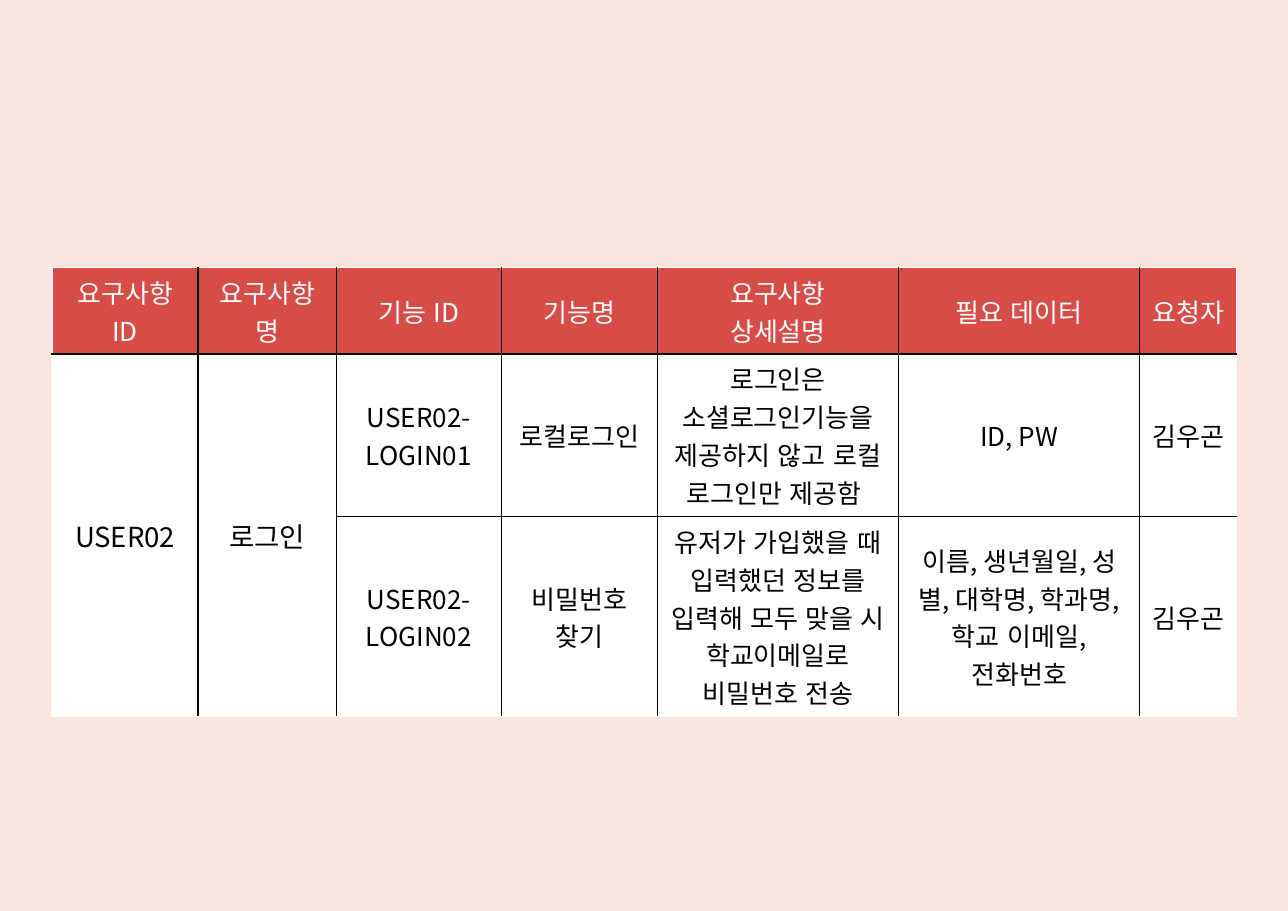
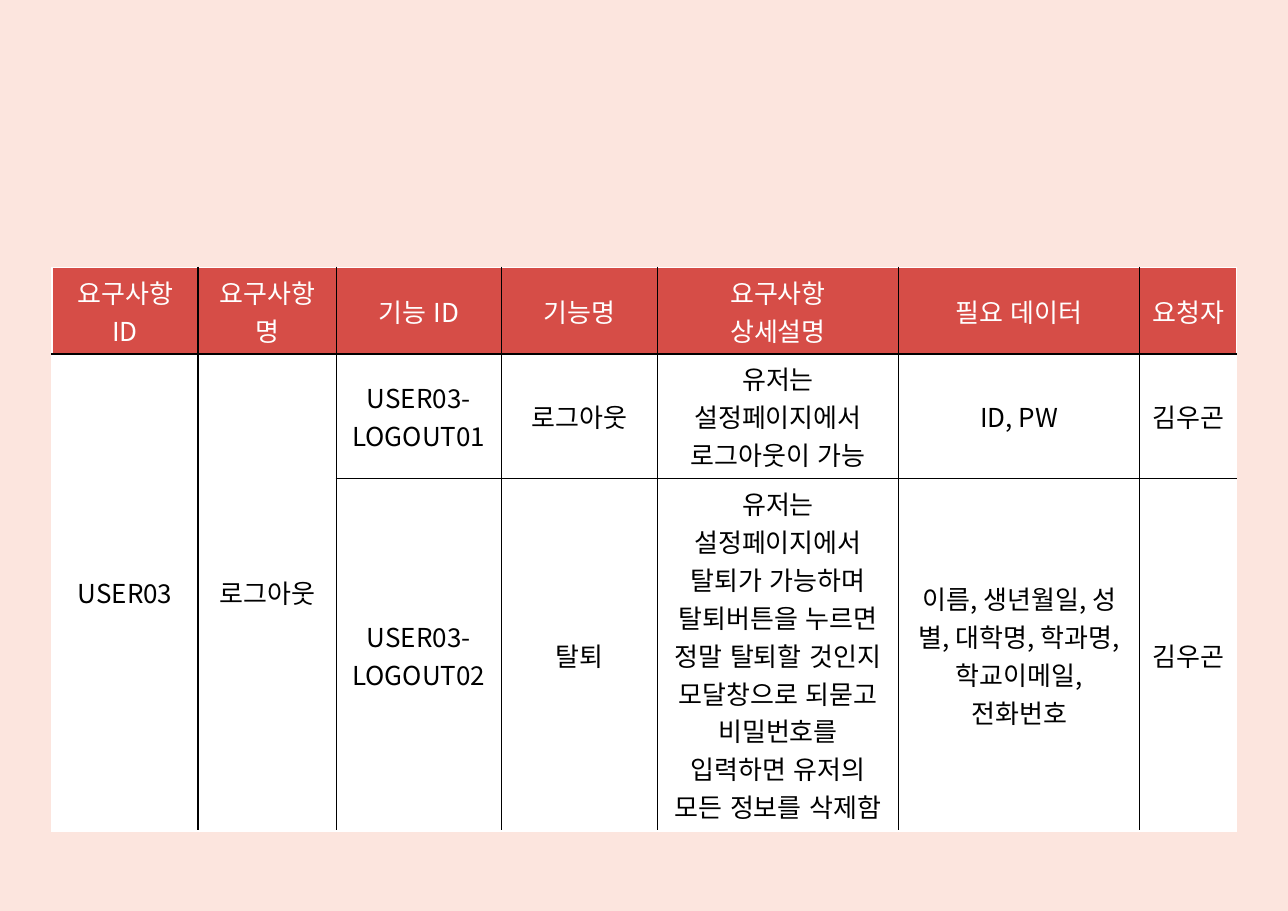
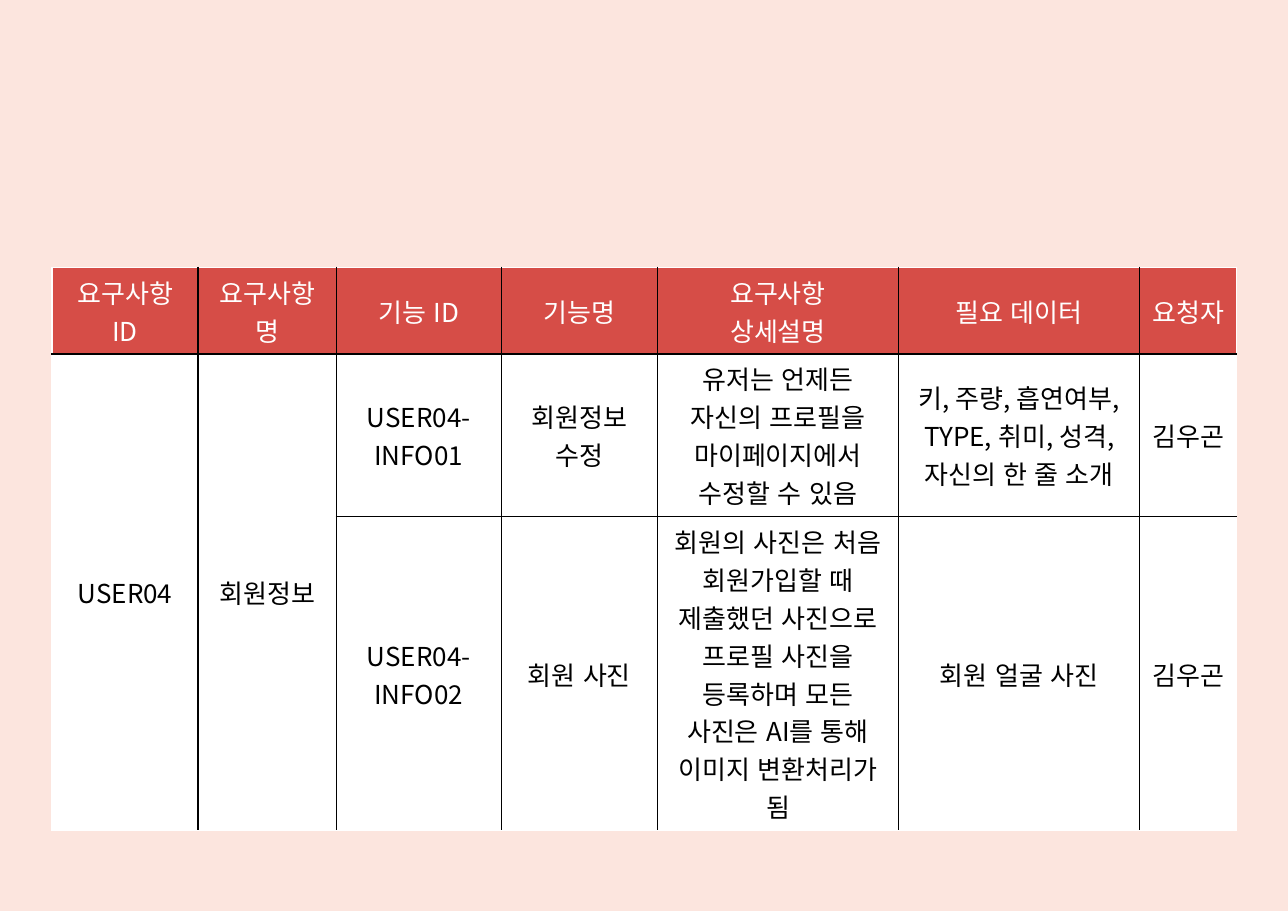
"""Build three requirement tables for login, logout and member information."""
from lxml.etree import SubElement
from pptx import Presentation
from pptx.dml.color import RGBColor
from pptx.enum.lang import MSO_LANGUAGE_ID as LANGUAGE
from pptx.enum.text import MSO_ANCHOR as ANCHOR, PP_ALIGN as ALIGN
from pptx.oxml.ns import qn
from pptx.util import Pt

PX = 914400 // 110
FONT = "Noto Sans CJK KR"
COLORS = {"background": "FCE5DE", "header": "D64D47", "white": "FFFFFF", "black": "000000"}
COLUMN_WIDTHS = [146, 138, 165, 156, 241, 241, 97]
HEADER_HEIGHT = 86
HEADINGS = ["요구사항 ID", "요구사항명", "기능 ID", "기능명", "요구사항\n상세설명", "필요 데이터", "요청자"]
REQUESTER = "김우곤"
REQUIREMENTS = [
    {
        "id": "USER02", "name": "로그인", "id_size": 18, "heights": [162, 200],
        "functions": [
            ["USER02-LOGIN01", "로컬로그인",
             "로그인은 소셜로그인기능을 제공하지 않고 로컬 로그인만 제공함 ", "ID, PW"],
            ["USER02-LOGIN02", "비밀번호 찾기",
             "유저가 가입했을 때 입력했던 정보를 입력해 모두 맞을 시 학교이메일로 비밀번호 전송",
             "이름, 생년월일, 성별, 대학명, 학과명, 학교 이메일, 전화번호"],
        ],
    },
    {
        "id": "USER03", "name": "로그아웃", "id_size": 17, "heights": [124, 352],
        "functions": [
            ["USER03-LOGOUT01", "로그아웃", "유저는 설정페이지에서 로그아웃이 가능", "ID, PW"],
            ["USER03-LOGOUT02", "탈퇴",
             "유저는 설정페이지에서 탈퇴가 가능하며 탈퇴버튼을 누르면 정말 탈퇴할 것인지 "
             "모달창으로 되묻고 비밀번호를 입력하면 유저의 모든 정보를 삭제함",
             "이름, 생년월일, 성별, 대학명, 학과명, 학교이메일,전화번호"],
        ],
    },
    {
        "id": "USER04", "name": "회원정보", "id_size": 17, "heights": [162, 314],
        "functions": [
            ["USER04-INFO01", "회원정보 수정",
             "유저는 언제든 자신의 프로필을 마이페이지에서 수정할 수 있음",
             "키, 주량, 흡연여부, TYPE, 취미, 성격, 자신의 한 줄 소개"],
            ["USER04-INFO02", "회원 사진",
             "회원의 사진은 처음 회원가입할 때 제출했던 사진으로 프로필 사진을 등록하며 "
             "모든 사진은 AI를 통해 이미지 변환처리가 됨", "회원 얼굴 사진"],
        ],
    },
]


def set_borders(cell, edges):
    """Draw one-point borders in the named colours."""
    properties = cell._tc.get_or_add_tcPr()
    for side, color in edges.items():
        line = SubElement(properties, qn(f"a:ln{side}"), w=str(Pt(1)))
        fill = SubElement(line, qn("a:solidFill"))
        SubElement(fill, qn("a:srgbClr"), val=COLORS[color])


def write_cell(cell, text, size, color):
    """Fill a cell with centred text."""
    cell.text_frame.text = text
    cell.vertical_anchor = ANCHOR.MIDDLE
    for paragraph in cell.text_frame.paragraphs:
        paragraph.alignment = ALIGN.CENTER
        for run in paragraph.runs:
            font = run.font
            font.name, font.size, font.bold = FONT, Pt(size), False
            font.language_id = LANGUAGE.KOREAN
            font.color.rgb = RGBColor.from_string(COLORS[color])
            SubElement(font._element, qn("a:ea"), typeface=FONT)


deck = Presentation()
deck.slide_width, deck.slide_height = 1287 * PX, 910 * PX

for requirement in REQUIREMENTS:
    slide = deck.slides.add_slide(deck.slide_layouts[6])
    slide.background.fill.solid()
    slide.background.fill.fore_color.rgb = RGBColor.from_string(COLORS["background"])

    heights = [HEADER_HEIGHT] + requirement["heights"]
    first, second = requirement["functions"]
    rows = [
        HEADINGS,
        [requirement["id"], requirement["name"], *first, REQUESTER],
        ["", "", *second, REQUESTER],
    ]
    table = slide.shapes.add_table(
        len(rows), len(HEADINGS), 52 * PX, 267 * PX,
        sum(COLUMN_WIDTHS) * PX, sum(heights) * PX).table
    table.horz_banding = False
    for column, width in zip(table.columns, COLUMN_WIDTHS):
        column.width = width * PX
    for row, height in zip(table.rows, heights):
        row.height = height * PX

    for r, texts in enumerate(rows):
        for c, text in enumerate(texts):
            cell = table.cell(r, c)
            merged = c < 2 and r > 0
            set_borders(cell, {
                "L": "white" if c == 0 else "black",
                "R": "white" if c == len(texts) - 1 else "black",
                "T": "white" if r == 0 or (merged and r == 2) else "black",
                "B": "white" if r == 2 or merged else "black",
            })
            cell.fill.solid()
            cell.fill.fore_color.rgb = RGBColor.from_string(COLORS["white" if r else "header"])
            size = requirement["id_size"] if merged else 17
            write_cell(cell, text, size, "black" if r else "white")
    for c in range(2):
        table.cell(1, c).merge(table.cell(2, c))

deck.save("out.pptx")
